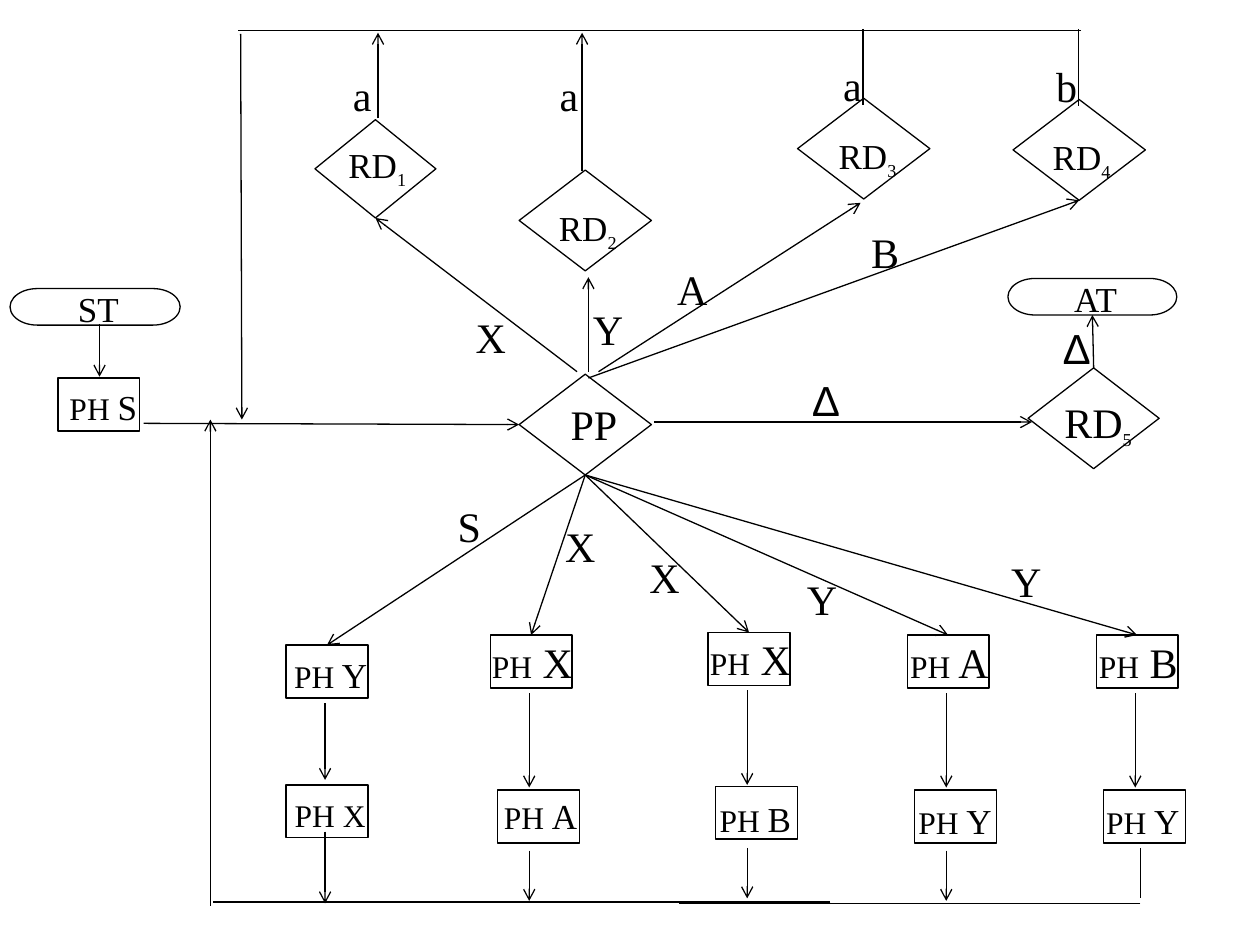
from lxml import etree
from pptx import Presentation
from pptx.dml.color import RGBColor
from pptx.enum.shapes import MSO_CONNECTOR, MSO_SHAPE
from pptx.enum.text import MSO_AUTO_SIZE, PP_ALIGN
from pptx.oxml.ns import qn
from pptx.util import Inches, Pt

COLORS = {"ink": "000000"}
INK = RGBColor.from_string(COLORS["ink"])
SERIF, SANS = "Times New Roman", "Arial"
TOP, LEFT, BOTTOM, RIGHT = range(4)

presentation = Presentation()
presentation.slide_width, presentation.slide_height = Inches(10), Inches(7.5)
slide = presentation.slides.add_slide(presentation.slide_layouts[6])


def add_text(left, top, width, height, runs, wrap=False, font=SERIF):
    """Add centred text; runs are (text, size) or (text, size, baseline)."""
    box = slide.shapes.add_textbox(Inches(left), Inches(top), Inches(width), Inches(height))
    frame = box.text_frame
    frame.word_wrap = wrap
    frame.auto_size = MSO_AUTO_SIZE.SHAPE_TO_FIT_TEXT
    paragraph = frame.paragraphs[0]
    paragraph.alignment = PP_ALIGN.CENTER
    for text, size, *baseline in runs:
        run = paragraph.add_run()
        run.text = text
        for name, value in {"name": font, "size": Pt(size)}.items():
            setattr(run.font, name, value)
        run.font.color.rgb = INK
        if baseline:
            run.font._element.set("baseline", str(baseline[0]))


def add_line(start, end, arrow=True):
    """Draw a line; each end is a point (x, y) or a joint (shape name, side)."""
    points = [(0, 0) if isinstance(place[0], str) else place for place in (start, end)]
    line = slide.shapes.add_connector(
        MSO_CONNECTOR.STRAIGHT, *(Inches(value) for point in points for value in point))
    for place, connect in ((start, line.begin_connect), (end, line.end_connect)):
        if isinstance(place[0], str):
            connect(nodes[place[0]], place[1])
    line.line.color.rgb = INK
    line.line.width = Pt(0.75)
    properties = line._element.spPr
    if arrow:
        etree.SubElement(properties.find(qn("a:ln")), qn("a:tailEnd"), type="arrow")
    etree.SubElement(properties, qn("a:effectLst"))


# Outlines: name, kind, left, top, width, height
outlines = [
    ("ST", MSO_SHAPE.FLOWCHART_TERMINATOR, 0.08, 2.29, 1.35, 0.29),
    ("AT", MSO_SHAPE.FLOWCHART_TERMINATOR, 8, 2.21, 1.34, 0.29),
    ("RD1", MSO_SHAPE.FLOWCHART_DECISION, 2.5, 0.95, 0.96, 0.78),
    ("RD2", MSO_SHAPE.FLOWCHART_DECISION, 4.12, 1.35, 1.05, 0.8),
    ("RD3", MSO_SHAPE.FLOWCHART_DECISION, 6.33, 0.78, 1.05, 0.8),
    ("RD4", MSO_SHAPE.FLOWCHART_DECISION, 8.04, 0.79, 1.05, 0.8),
    ("RD5", MSO_SHAPE.FLOWCHART_DECISION, 8.16, 2.92, 1.04, 0.8),
    ("PP", MSO_SHAPE.FLOWCHART_DECISION, 4.12, 2.97, 1.05, 0.8),
]
push_boxes = {
    "PH S": (0.46, 3),
    "upper 1": (2.27, 5.12), "lower 1": (2.27, 6.23),
    "upper 2": (3.89, 5.04), "lower 2": (3.95, 6.27),
    "upper 3": (5.62, 5.02), "lower 3": (5.68, 6.24),
    "upper 4": (7.2, 5.04), "lower 4": (7.26, 6.27),
    "upper 5": (8.7, 5.04), "lower 5": (8.76, 6.27),
}
outlines += [(name, MSO_SHAPE.RECTANGLE, *corner, 0.65, 0.42)
             for name, corner in push_boxes.items()]

nodes = {}
for name, kind, *bounds in outlines:
    shape = slide.shapes.add_shape(kind, *map(Inches, bounds))
    shape.shadow.inherit = False
    shape.fill.background()
    shape.line.color.rgb = INK
    shape.line.width = Pt(0.75)
    nodes[name] = shape

# Push operations: left, top, width, height, symbol, symbol size
for *bounds, symbol, size in [
    (0.45, 3.01, 0.74, 0.43, "S", 20),
    (2.23, 5.14, 0.79, 0.43, "Y", 20), (2.24, 6.27, 0.76, 0.4, "X", 18),
    (3.8, 5, 0.85, 0.5, "X", 24), (3.9, 6.26, 0.78, 0.43, "A", 20),
    (5.53, 4.98, 0.85, 0.5, "X", 24), (5.61, 6.28, 0.77, 0.43, "B", 20),
    (7.11, 5, 0.85, 0.5, "A", 24), (7.19, 6.3, 0.78, 0.43, "Y", 20),
    (8.62, 5, 0.83, 0.5, "B", 24), (8.68, 6.3, 0.78, 0.43, "Y", 20),
]:
    # The space takes the larger size in the upper row
    runs = [("PH", 18), (f" {symbol}", size)] if bounds[1] < 6 and symbol != "S" else [
        ("PH ", 18), (symbol, size)]
    add_text(*bounds, runs)

# Read operations: number, left, top, width, height, size
for number, *bounds, size in [
    (1, 2.66, 1.09, 0.67, 0.43, 20),
    (2, 4.33, 1.59, 0.67, 0.43, 20),
    (3, 6.55, 1.02, 0.67, 0.43, 20),
    (4, 8.25, 1.03, 0.67, 0.43, 20),
    (5, 8.34, 3.1, 0.75, 0.5, 24),
]:
    add_text(*bounds, [("RD", size), (str(number), 18, -25000)])

add_text(4.43, 3.11, 0.57, 0.5, [("PP", 24)])
add_text(0.33, 2.23, 0.9, 0.43, [("ST", 20)], wrap=True)
add_text(8.25, 2.15, 0.89, 0.43, [("AT", 20)], wrap=True)

# Branch labels
for label, left, top in [
    ("a", 2.65, 0.5), ("a", 4.29, 0.5), ("a", 6.54, 0.42), ("b", 8.24, 0.43),
    ("X", 3.67, 2.42), ("Y", 4.6, 2.36), ("A", 5.27, 2.04), ("B", 6.8, 1.75),
    ("∆ ", 6.33, 2.92), ("∆ ", 8.32, 2.51),
    ("S", 3.5, 3.92), ("X", 4.38, 4.08), ("X", 5.05, 4.33),
    ("Y", 6.3, 4.5), ("Y", 7.92, 4.36),
]:
    add_text(left, top, 0.45, 0.5, [(label, 24)], wrap=True,
             font=SANS if label == "∆ " else SERIF)

# Arrows around the start, the readers and the accept state
for start, end in [
    ((0.79, 2.57), (0.79, 2.99)),
    ((1.14, 3.36), ("PP", LEFT)),
    ((5.19, 3.35), (8.19, 3.35)),
    (("RD5", TOP), ("AT", BOTTOM)),
    ((4.58, 2.95), ("RD1", BOTTOM)),
    ((4.67, 2.95), (4.67, 2.2)),
    ((4.75, 2.95), (6.83, 1.61)),
    ((4.67, 3), ("RD4", BOTTOM)),
    ((3, 0.94), (3, 0.26)),
    ((4.62, 1.36), (4.62, 0.26)),
    ((1.91, 0.27), (1.92, 3.33)),
    ((1.67, 7.19), (1.67, 3.33)),
]:
    add_line(start, end)

# Push columns: arrow x, then top and bottom of the arrows below each box
for column, (x, *spans) in enumerate([
    (2.58, (5.58, 6.19), (6.6, 7.17)),
    (4.2, (5.5, 6.25), (6.75, 7.15)),
    (5.93, (5.48, 6.23), (6.73, 7.13)),
    (7.51, (5.5, 6.25), (6.75, 7.15)),
    (9.01, (5.5, 6.25)),
], start=1):
    add_line(("PP", BOTTOM), (f"upper {column}", TOP))
    for top, bottom in spans:
        add_line((x, top), (x, bottom))

# Return lines along the top and the bottom
for start, end in [
    ((6.89, 0.24), (1.89, 0.24)), ((8.58, 0.24), (6.83, 0.24)),
    ((6.85, 0.23), (6.85, 0.83)), ((8.56, 0.23), (8.56, 0.84)),
    ((6.59, 7.16), (1.69, 7.16)), ((7.55, 7.17), (5.39, 7.17)),
    ((9.05, 7.17), (6.89, 7.17)), ((9.05, 6.73), (9.05, 7.13)),
]:
    add_line(start, end, arrow=False)

presentation.save("out.pptx")
